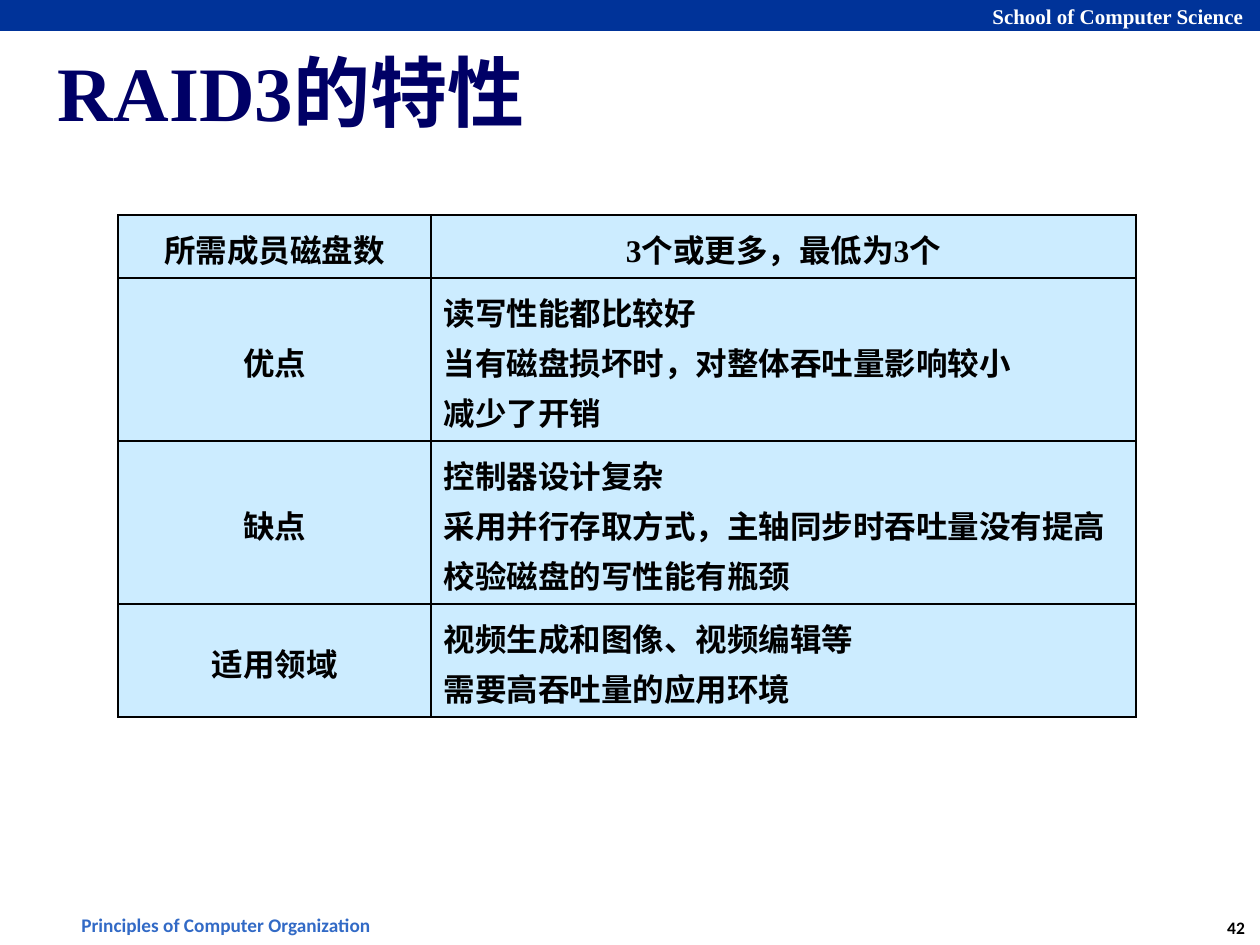
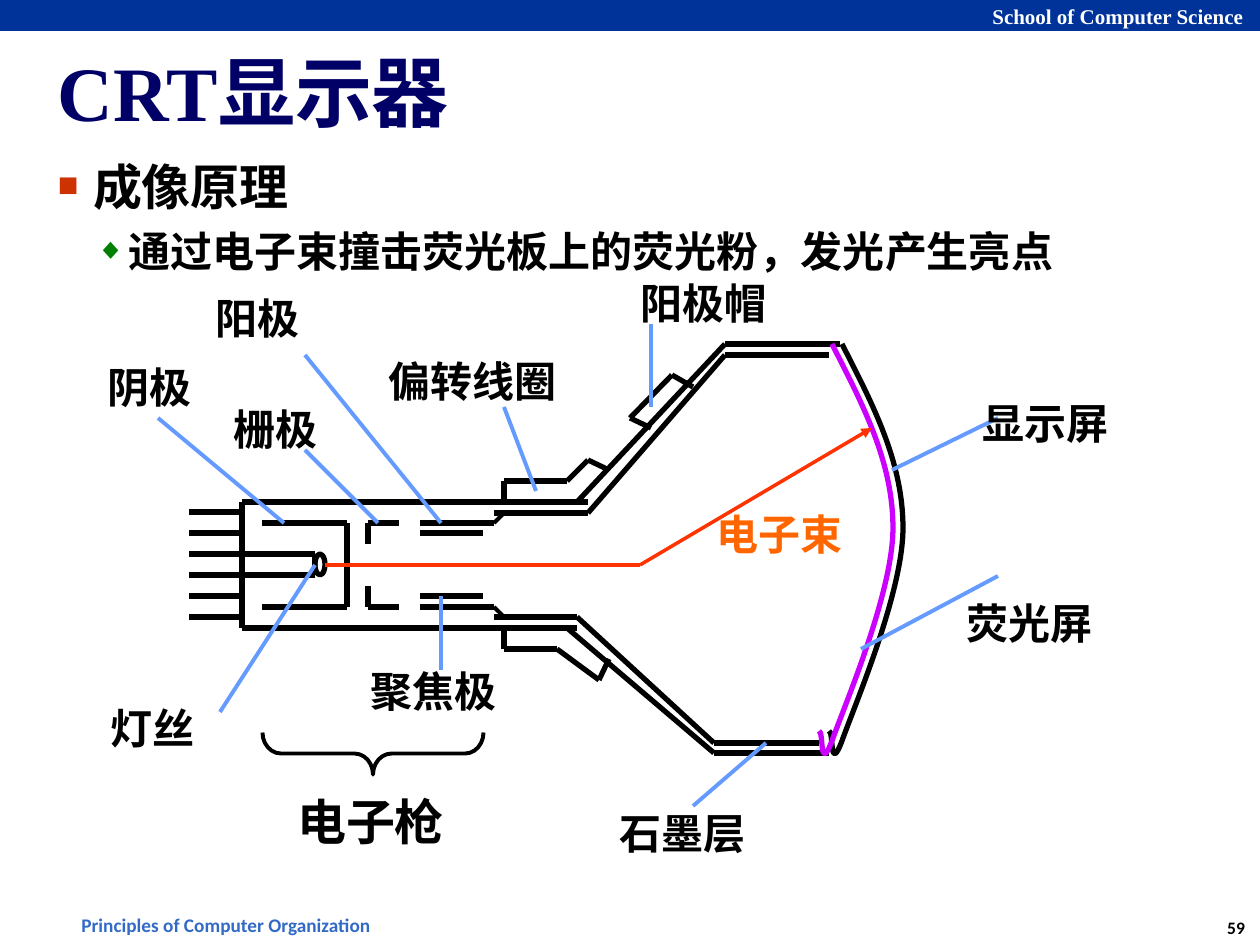
from lxml.etree import SubElement
from pptx import Presentation
from pptx.dml.color import RGBColor
from pptx.enum.shapes import MSO_CONNECTOR, MSO_SHAPE
from pptx.enum.text import MSO_ANCHOR, MSO_AUTO_SIZE, PP_ALIGN
from pptx.oxml.ns import qn
from pptx.util import Emu, Pt

LEFT, CENTER = PP_ALIGN.LEFT, PP_ALIGN.CENTER
TOP, MIDDLE = MSO_ANCHOR.TOP, MSO_ANCHOR.MIDDLE
FIXED = MSO_AUTO_SIZE.NONE
STRAIGHT = MSO_CONNECTOR.STRAIGHT
RECT, OVAL, BRACE = MSO_SHAPE.RECTANGLE, MSO_SHAPE.OVAL, MSO_SHAPE.LEFT_BRACE

SCALE = 914400 / 126
SERIF, SANS, HAN = "Times New Roman", "Calibri", "Noto Sans CJK SC"
BLACK = RGBColor(0x00, 0x00, 0x00)
WHITE = RGBColor(0xFF, 0xFF, 0xFF)
NAVY = RGBColor(0x00, 0x00, 0x66)
BAND = RGBColor(0x00, 0x33, 0x99)
FOOT = RGBColor(0x32, 0x6A, 0xC6)
PALE = RGBColor(0xCC, 0xEC, 0xFF)
RUST = RGBColor(0xCC, 0x33, 0x00)
GREEN = RGBColor(0x00, 0x80, 0x00)
PURPLE = RGBColor(0xCC, 0x00, 0xFF)
BLUE = RGBColor(0x65, 0x9B, 0xFF)
RED = RGBColor(0xFF, 0x33, 0x00)
ORANGE = RGBColor(0xFF, 0x66, 0x00)

ROWS = [
    (63, "所需成员磁盘数", ["3个或更多，最低为3个"]),
    (163, "优点", ["读写性能都比较好", "当有磁盘损坏时，对整体吞吐量影响较小", "减少了开销"]),
    (163, "缺点", ["控制器设计复杂", "采用并行存取方式，主轴同步时吞吐量没有提高", "校验磁盘的写性能有瓶颈"]),
    (113, "适用领域", ["视频生成和图像、视频编辑等", "需要高吞吐量的应用环境"]),
]

POINTS = [
    ("成像原理", 28, 35, -35, "■", RUST),
    ("通过电子束撞击荧光板上的荧光粉，发光产生亮点", 24, 71, -33, "◆", GREEN),
]

SHELL = [
    [(588, 502), (242, 502), (242, 628), (577, 628)],
    [(577, 502), (725, 344), (840, 344)],
    [(567, 628), (714, 753), (829, 753)],
    [(494, 513), (588, 513), (725, 355), (829, 355)],
    [(494, 617), (577, 617), (714, 743), (819, 743)],
]
CAP = [(693, 387), (672, 375), (630, 418), (651, 428)]
COILS = [
    [(504, 502), (504, 481), (567, 481), (588, 460), (609, 470)],
    [(504, 628), (504, 649), (557, 649), (599, 680), (609, 659)],
]
GUN = [
    [(262, 523), (347, 523), (347, 607), (262, 607)],
    [(242, 554), (315, 554), (315, 575), (242, 575)],
    [(368, 544), (368, 523), (399, 523)],
    [(368, 586), (368, 607), (399, 607)],
    [(420, 533), (483, 533)],
    [(420, 596), (483, 596)],
    [(420, 523), (494, 523)],
    [(420, 607), (494, 607)],
]
DOTS = [((409, 523), 3), ((609, 670), 0.75)]
JOINTS = [[(494, 523), (504, 513)], [(494, 607), (504, 617)]]
SCREEN = [(842, 344), (872, 403), (903, 461), (903, 528), (903, 593),
          (854, 707), (842, 741), (829, 775), (834, 731), (829, 731)]
LEADERS = [
    [(315, 565), (220, 712)],
    [(158, 418), (284, 523)],
    [(378, 523), (305, 450)],
    [(441, 596), (441, 670)],
    [(536, 491), (504, 407)],
    [(651, 407), (651, 324)],
    [(766, 743), (693, 806)],
    [(892, 470), (998, 418)],
    [(861, 649), (998, 576)],
    [(441, 523), (305, 355)],
]
LABELS = [
    ("灯丝", 97, 696), ("阴极", 94, 355), ("聚焦极", 357, 659),
    ("石墨层", 606, 801), ("荧光屏", 953, 591), ("显示屏", 969, 391),
    ("阳极帽", 627, 271), ("偏转线圈", 375, 349), ("栅极", 220, 397),
    ("阳极", 202, 286),
]


def px(count):
    return Emu(round(count * SCALE))


def box(*sides):
    return [px(side) for side in sides]


def style(para, size, color, face=SERIF, align=LEFT):
    para.alignment = align
    font = para.font
    font.size, font.bold, font.name = Pt(size), True, face
    font.color.rgb = color
    props = para._p.get_or_add_pPr().find(qn("a:defRPr"))
    SubElement(props, qn("a:ea")).set("typeface", HAN)


def label(slide, text, spot, size, color, face=HAN, align=CENTER, anchor=MIDDLE):
    frame = slide.shapes.add_textbox(*box(*spot)).text_frame
    frame.word_wrap = False
    frame.vertical_anchor = anchor
    frame.text = text
    style(frame.paragraphs[0], size, color, face, align)


def place(holder, spot, anchor):
    holder.left, holder.top, holder.width, holder.height = box(*spot)
    frame = holder.text_frame
    frame.auto_size = FIXED
    frame.vertical_anchor = anchor
    frame.margin_left = frame.margin_right = px(5)
    frame.margin_top = frame.margin_bottom = px(5)
    return frame


def start(deck, layout, title, page):
    slide = deck.slides.add_slide(deck.slide_layouts[layout])
    band = slide.shapes.add_shape(RECT, *box(0, 0, 1260, 31))
    band.shadow.inherit = False
    band.fill.solid()
    band.fill.fore_color.rgb = BAND
    band.line.fill.background()
    label(slide, "School of Computer Science", (980, -3, 278, 38), 12, WHITE, SERIF, LEFT, TOP)
    label(slide, "Principles of Computer Organization", (69, 907, 323, 37), 11, FOOT, SANS, LEFT, TOP)
    label(slide, page, (1213, 911, 46, 34), 10, BLACK, SANS, CENTER, TOP)
    frame = place(slide.shapes.title, (53, 35, 1155, 112), MIDDLE)
    frame.text = title
    style(frame.paragraphs[0], 44, NAVY)
    return slide


def bullet(para, mark, color, margin, indent):
    props = para._p.get_or_add_pPr()
    props.set("marL", str(px(margin)))
    props.set("indent", str(px(indent)))
    tint = SubElement(props, qn("a:buClr"))
    SubElement(tint, qn("a:srgbClr")).set("val", str(color))
    SubElement(props, qn("a:buSzPct")).set("val", "70000")
    SubElement(props, qn("a:buFont")).set("typeface", SERIF)
    SubElement(props, qn("a:buChar")).set("char", mark)


def outline(slide):
    frame = place(slide.placeholders[1], (53, 151, 1155, 721), TOP)
    frame.text = "\n".join(point[0] for point in POINTS)
    for level, (para, point) in enumerate(zip(frame.paragraphs, POINTS)):
        _, size, margin, indent, mark, color = point
        para.level = level
        para.space_before = Pt(6 * level)
        bullet(para, mark, color, margin, indent)
        style(para, size, BLACK)


def border(cell):
    props = cell._tc.get_or_add_tcPr()
    for side in ("lnL", "lnR", "lnT", "lnB"):
        line = SubElement(props, qn("a:" + side), w=str(Pt(1)))
        fill = SubElement(line, qn("a:solidFill"))
        SubElement(fill, qn("a:srgbClr")).set("val", str(BLACK))


def fill_cell(cell, lines, align):
    border(cell)
    cell.fill.solid()
    cell.fill.fore_color.rgb = PALE
    cell.vertical_anchor = MIDDLE
    cell.text = "\n".join(lines)
    for para in cell.text_frame.paragraphs:
        para.line_spacing = 1.1
        style(para, 18, BLACK, align=align)


def grid(slide):
    total = sum(row[0] for row in ROWS)
    table = slide.shapes.add_table(len(ROWS), 2, *box(118, 215, 1018, total)).table
    table.first_row = table.horz_banding = False
    for column, width in zip(table.columns, (313, 705)):
        column.width = px(width)
    for index, (height, head, lines) in enumerate(ROWS):
        table.rows[index].height = px(height)
        fill_cell(table.cell(index, 0), [head], CENTER)
        fill_cell(table.cell(index, 1), lines, LEFT if index else CENTER)


def trace(slide, points, color=BLACK, width=3, arrow=False):
    for begin, end in zip(points, points[1:]):
        link = slide.shapes.add_connector(STRAIGHT, *box(*begin, *end))
        link.line.color.rgb = color
        link.line.width = Pt(width)
        SubElement(link._element.spPr, qn("a:effectLst"))
    if arrow:
        SubElement(link.line._get_or_add_ln(), qn("a:tailEnd")).set("type", "triangle")


def stroke(shape, color, width):
    shape.shadow.inherit = False
    shape.line.color.rgb = color
    shape.line.width = Pt(width)


def curve(slide, points, color):
    pen = slide.shapes.build_freeform(*points[0], scale=SCALE)
    pen.add_line_segments(points[1:], close=False)
    shape = pen.convert_to_shape()
    shape.fill.background()
    stroke(shape, color, 3)
    route = shape._element.find(".//" + qn("a:path"))
    legs = route.findall(qn("a:lnTo"))
    for first in range(0, len(legs), 3):
        bend = SubElement(route, qn("a:cubicBezTo"))
        for leg in legs[first:first + 3]:
            bend.append(leg[0])
            route.remove(leg)


def heater(slide):
    ring = slide.shapes.add_shape(OVAL, *box(315, 554, 10, 21))
    ring.fill.solid()
    ring.fill.fore_color.rgb = WHITE
    tint = ring._element.spPr.find(".//" + qn("a:srgbClr"))
    SubElement(tint, qn("a:alpha")).set("val", "50000")
    stroke(ring, BLACK, 3)


def brace(slide):
    shape = slide.shapes.add_shape(BRACE, *box(352, 643, 42, 221))
    shape.rotation = 270
    shape.adjustments[0] = 0.44
    shape.fill.background()
    stroke(shape, BLACK, 2.25)


def tube(slide):
    pins = [[(189, y), (242, y)] for y in range(512, 618, 21)]
    for points in SHELL + [CAP] + pins + COILS + GUN:
        trace(slide, points)
    for spot, width in DOTS:
        trace(slide, [spot, spot], width=width)
    heater(slide)
    curve(slide, SCREEN, BLACK)
    curve(slide, [(x - 10, y) for x, y in SCREEN], PURPLE)
    for points in JOINTS:
        trace(slide, points, width=2.25)
    for points in LEADERS:
        trace(slide, points, BLUE, 2.25)
    for text, left, top in LABELS:
        label(slide, text, (left, top, 27 + 42 * len(text), 63), 24, BLACK)
    brace(slide)
    label(slide, "电子枪", (284, 785, 173, 72), 28, BLACK)
    trace(slide, [(325, 565), (640, 565), (872, 428)], RED, 2, arrow=True)
    label(slide, "电子束", (703, 502, 153, 63), 24, ORANGE)


def main():
    deck = Presentation()
    deck.slide_width, deck.slide_height = box(1260, 945)
    grid(start(deck, 5, "RAID3的特性", "42"))
    slide = start(deck, 1, "CRT显示器", "59")
    outline(slide)
    tube(slide)
    deck.save("out.pptx")


if __name__ == "__main__":
    main()
